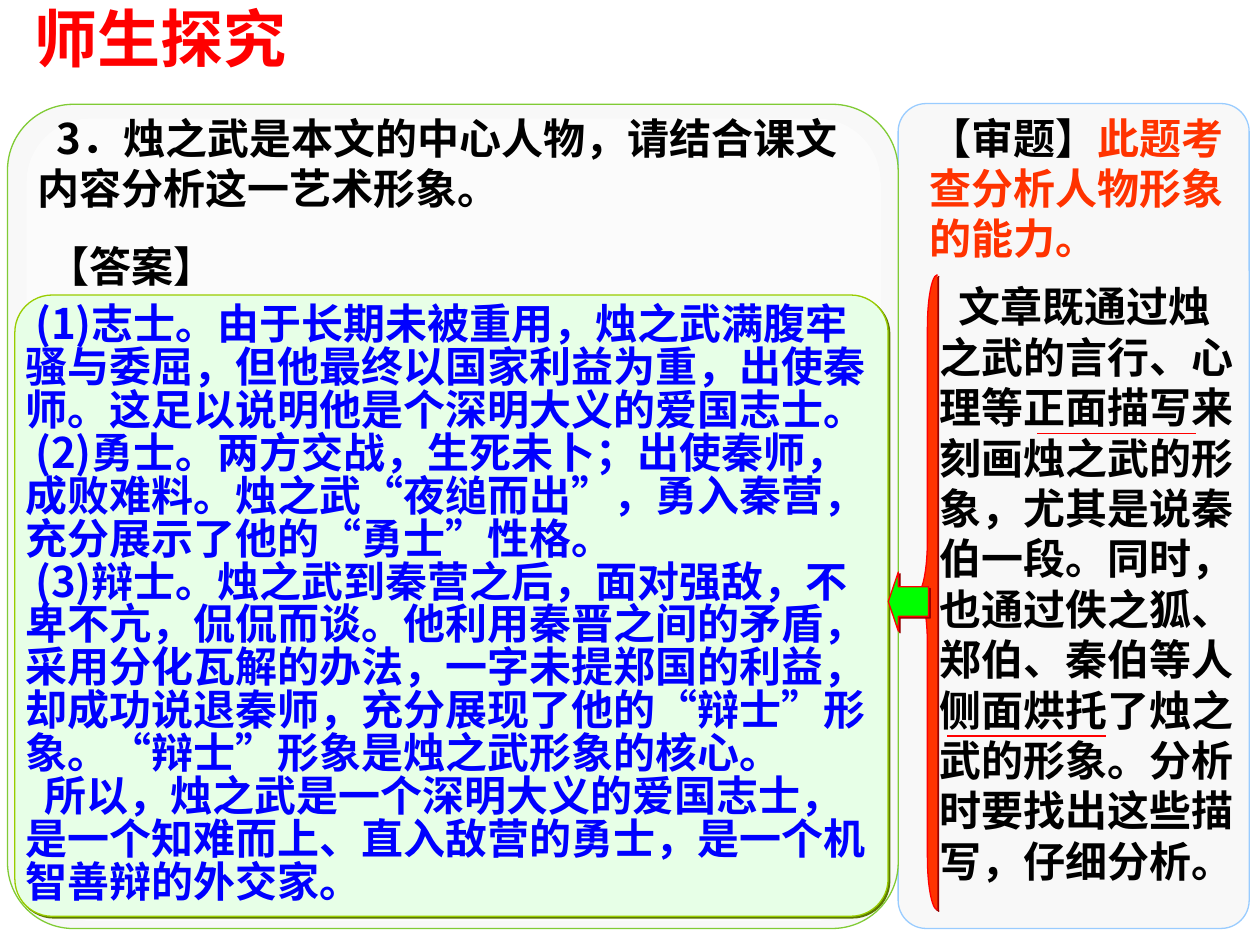
from lxml.etree import SubElement
from pptx import Presentation
from pptx.dml.color import RGBColor
from pptx.enum.shapes import MSO_CONNECTOR, MSO_SHAPE
from pptx.enum.text import MSO_ANCHOR, MSO_AUTO_SIZE, PP_ALIGN
from pptx.oxml.ns import qn
from pptx.util import Pt

BLACK = RGBColor(0x00, 0x00, 0x00)
WHITE = RGBColor(0xFF, 0xFF, 0xFF)
RED = RGBColor(0xFF, 0x00, 0x00)
ORANGE = RGBColor(0xFF, 0x33, 0x00)
DARK_RED = RGBColor(0x98, 0x00, 0x00)
BLUE = RGBColor(0x00, 0x00, 0xFF)
SKY = RGBColor(0x99, 0xCC, 0xFF)
PALE_GRAY = RGBColor(0xF8, 0xF8, 0xF8)
GRAY = RGBColor(0x80, 0x80, 0x80)
LEAF = RGBColor(0x80, 0xCB, 0x35)
LIME = RGBColor(0x99, 0xCC, 0x00)
OLIVE = RGBColor(0x5B, 0x79, 0x00)
MINT = RGBColor(0xE7, 0xFF, 0xE7)
GREEN = RGBColor(0x00, 0xFF, 0x00)

CJK = "Noto Sans CJK SC"
INSETS = (7.2, 3.6)

ANSWERS = [
    ("(1)志士。由于长期未被重用，烛之武满腹牢骚与委屈，但他最终以国家利益为重，"
     "出使秦师。这足以说明他是个深明大义的爱国志士。", 5.4),
    ("(2)勇士。两方交战，生死未卜；出使秦师，成败难料。烛之武“夜缒而出”，"
     "勇入秦营，充分展示了他的“勇士”性格。", 5.4),
    ("(3)辩士。烛之武到秦营之后，面对强敌，不卑不亢，侃侃而谈。"
     "他利用秦晋之间的矛盾，采用分化瓦解的办法，一字未提郑国的利益，却成功说退秦师，"
     "充分展现了他的“辩士”形象。“辩士”形象是烛之武形象的核心。", 5.4),
    ("所以，烛之武是一个深明大义的爱国志士，是一个知难而上、直入敌营的勇士，"
     "是一个机智善辩的外交家。", 10.8),
]
ANALYSIS = (
    "文章既通过烛之武的言行、心理等正面描写来刻画烛之武的形象，尤其是说秦伯一段。"
    "同时，也通过佚之狐、郑伯、秦伯等人侧面烘托了烛之武的形象。"
    "分析时要找出这些描写，仔细分析。"
)


class Deck:
    def __init__(self, slide, font=CJK, size=24, line_width=0.75):
        self.s = slide
        self.font = font
        self.size = size
        self.line_width = line_width

    def cast_shadow(self, effects, color):
        shadow = SubElement(effects, qn("a:outerShdw"), dist=str(Pt(1.4)),
                            dir="2700000", algn="ctr", rotWithShape="0")
        SubElement(shadow, qn("a:srgbClr"), val=str(color))

    def shape(self, kind, box, fill, line=None, adj=(), shadow=None, alpha=None):
        sp = self.s.shapes.add_shape(kind, *map(Pt, box))
        for i, value in enumerate(adj):
            sp.adjustments[i] = value
        sp.shadow.inherit = False
        sp.fill.solid()
        sp.fill.fore_color.rgb = fill
        if alpha:
            color = sp._element.spPr.find(qn("a:solidFill"))[0]
            SubElement(color, qn("a:alpha"), val=str(alpha * 1000))
        if line:
            sp.line.color.rgb = line
            sp.line.width = Pt(self.line_width)
        else:
            sp.line.fill.background()
        if shadow:
            self.cast_shadow(sp._element.spPr.find(qn("a:effectLst")), shadow)
        return sp

    def frame(self, sp, insets, anchor=MSO_ANCHOR.TOP, wrap=True):
        tf = sp.text_frame
        tf.word_wrap = wrap
        tf.vertical_anchor = anchor
        tf.margin_left = tf.margin_right = Pt(insets[0])
        tf.margin_top = tf.margin_bottom = Pt(insets[1])
        return tf

    def paragraph(self, p, runs, color, indent=0, size=None, font=None, shadow=None):
        p.alignment = PP_ALIGN.LEFT
        for text, run_color in runs:
            r = p.add_run()
            r.text = text
            if run_color:
                r.font.color.rgb = run_color
        p.font.size = Pt(size or self.size)
        p.font.bold = True
        p.font.color.rgb = color
        p.font.name = font or self.font
        props = p._p.pPr
        props.set("indent", str(Pt(indent)))
        style = props.find(qn("a:defRPr"))
        SubElement(style, qn("a:ea"), typeface=CJK)
        if shadow:
            effects = SubElement(style, qn("a:effectLst"))
            style.find(qn("a:solidFill")).addnext(effects)
            self.cast_shadow(effects, shadow)

    def text(self, box, runs, color=BLACK, insets=INSETS, anchor=MSO_ANCHOR.TOP,
             wrap=True, **style):
        sp = self.s.shapes.add_textbox(*map(Pt, box))
        tf = self.frame(sp, insets, anchor, wrap)
        tf.auto_size = MSO_AUTO_SIZE.SHAPE_TO_FIT_TEXT
        self.paragraph(tf.paragraphs[0], runs, color, shadow=GRAY, **style)

    def underline(self, x, y, width):
        line = self.s.shapes.add_connector(
            MSO_CONNECTOR.STRAIGHT, Pt(x), Pt(y), Pt(x + width), Pt(y))
        line.line.color.rgb = RED
        line.line.width = Pt(self.line_width)
        SubElement(line._element.spPr, qn("a:effectLst"))


def main():
    prs = Presentation()
    prs.slide_width, prs.slide_height = Pt(720), Pt(540)
    d = Deck(prs.slides.add_slide(prs.slide_layouts[6]))
    rounded = MSO_SHAPE.ROUNDED_RECTANGLE

    d.shape(rounded, (513.2, 59.2, 200.6, 471.4), PALE_GRAY, SKY, adj=[0.08])
    d.shape(rounded, (4.3, 59.6, 509, 471), PALE_GRAY, LEAF, adj=[0.08])
    d.shape(rounded, (15.1, 67.7, 488.2, 458.6), WHITE, adj=[0.08], alpha=50)

    d.text((19.6, 0, 241.2, 43.2), [("师生探究", None)], RED,
           insets=(0, 0), size=36, font="Arial")
    d.text((14.4, 60.5, 475.9, 64.8),
           [("3．烛之武是本文的中心人物，请结合课文内容分析这一艺术形象。", None)],
           anchor=MSO_ANCHOR.MIDDLE, indent=10.8)

    answer = d.shape(rounded, (8.5, 168.6, 499, 355), MINT, LIME,
                     adj=[0.06], shadow=OLIVE)
    tf = d.frame(answer, (0, 0), MSO_ANCHOR.MIDDLE)
    for i, (text, indent) in enumerate(ANSWERS):
        p = tf.add_paragraph() if i else tf.paragraphs[0]
        p.line_spacing = 0.85
        d.paragraph(p, [(text, None)], BLUE, indent=indent)

    d.text((524.2, 60.5, 195.8, 93.6),
           [("【审题】", None), ("此题考查分析人物形象的能力。", ORANGE)], font="Arial")
    d.text((530, 157, 190, 352.8), [(ANALYSIS, None)], indent=10.8)
    d.text((20.2, 133.9, 110.2, 36), [("【答案】", None)], wrap=False, font="Arial")

    d.shape(MSO_SHAPE.LEFT_BRACE, (524.2, 157, 11.5, 362.9), ORANGE, RED,
            adj=[2.63, 0.5], shadow=DARK_RED)
    d.shape(MSO_SHAPE.LEFT_ARROW, (507.6, 326.9, 23, 33.8), GREEN, RED,
            adj=[0.5, 0.25], shadow=DARK_RED)
    d.underline(592.6, 247.7, 90.7)
    d.underline(541.4, 420.5, 90.7)

    prs.save("out.pptx")


if __name__ == "__main__":
    main()
